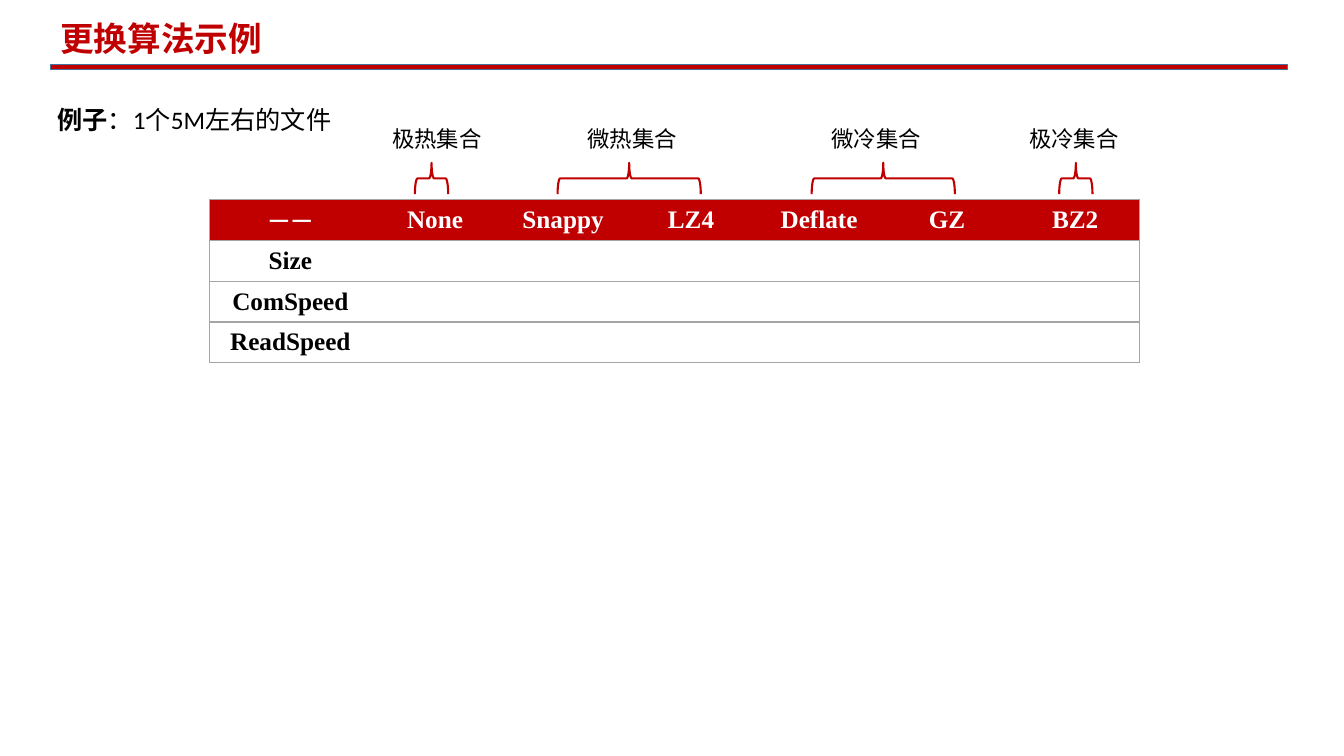
from lxml import etree
from pptx import Presentation, util as u
from pptx.dml.color import RGBColor
from pptx.enum import shapes, text
from pptx.oxml.ns import qn

RED, GREY, BLACK, WHITE = "C00000", "A5A5A5", "000000", "FFFFFF"
HAN = "Noto Sans CJK SC"


def paint(part, color):
    if hasattr(part, "solid"):
        part.solid()
        part = part.fore_color
    elif hasattr(part, "color"):
        part = part.color
    part.rgb = RGBColor.from_string(color)


def write(frame, words, size=16, font=HAN, color=BLACK, bold=False, align=None):
    frame.word_wrap = True
    paragraph = frame.paragraphs[0]
    paragraph.alignment = align
    run = paragraph.add_run()
    run.text = words
    run.font.size = u.Pt(size)
    run.font.name = font
    run.font.bold = bold
    paint(run.font.color, color)
    etree.SubElement(run.font._element, qn("a:ea")).set("typeface", HAN)


deck = Presentation()
deck.slide_width, deck.slide_height = u.Inches(13.33), u.Inches(7.5)
slide = deck.slides.add_slide(deck.slide_layouts[6])

rule = slide.shapes.add_shape(
    shapes.MSO_SHAPE.RECTANGLE, u.Inches(0.5), u.Inches(0.64), u.Inches(12.27), u.Inches(0.05))
rule.shadow.inherit = False
paint(rule.fill, RED)
paint(rule.line, "43739E")
rule.line.width = u.Pt(1)

captions = [
    (0.5, 0.13, 5.69, 0.5, [("更换算法示例", dict(size=24, color=RED, bold=True))]),
    (0.47, 0.99, 3.02, 0.4, [("例子", dict(size=18, font="Calibri", bold=True)),
                             ("：1个5M左右的文件", dict(size=18, font="Calibri"))]),
]
sets = [
    ("极热集合", 3.79, 1.31, 4.28, 0.33),
    ("微热集合", 5.73, 1.41, 6.24, 1.42),
    ("微冷集合", 8.15, 1.33, 8.76, 1.42),
    ("极冷集合", 10.11, 1.27, 10.67, 0.33),
]
brace_depth, brace_middle = 0.31, 1.77
for label, left, width, middle, span in sets:
    captions.append((left, 1.19, width, 0.37, [(label, {})]))
    brace = slide.shapes.add_shape(
        shapes.MSO_SHAPE.LEFT_BRACE,
        u.Inches(middle - brace_depth / 2), u.Inches(brace_middle - span / 2),
        u.Inches(brace_depth), u.Inches(span))
    brace.rotation = 90
    brace.shadow.inherit = False
    brace.fill.background()
    paint(brace.line, RED)
    brace.line.width = u.Pt(1.5)

for left, top, width, height, runs in captions:
    caption = slide.shapes.add_textbox(*map(u.Inches, (left, top, width, height))).text_frame
    caption.auto_size = text.MSO_AUTO_SIZE.SHAPE_TO_FIT_TEXT
    for words, style in runs:
        write(caption, words, **style)

algorithms = ["——", "None", "Snappy", "LZ4", "Deflate", "GZ", "BZ2"]
measures = ["Size", "ComSpeed", "ReadSpeed"]
rows, columns = len(measures) + 1, len(algorithms)
comparison = slide.shapes.add_table(
    rows, columns, u.Inches(2.08), u.Inches(1.98), u.Inches(9.22), u.Inches(1.62)).table
comparison._tbl.tblPr.find(qn("a:tableStyleId")).text = "{2D5ABB26-0587-4C30-8999-92F81FD0307C}"
for c, column in enumerate(comparison.columns):
    column.width = u.Inches(1.27 if c else 1.6)

for r in range(rows):
    for c in range(columns):
        cell = comparison.cell(r, c)
        cell.vertical_anchor = text.MSO_ANCHOR.MIDDLE
        edges = ["lnL"] * (c == 0) + ["lnR"] * (c == columns - 1) + ["lnT", "lnB"]
        for edge in edges:
            border = etree.SubElement(cell._tc.get_or_add_tcPr(), qn("a:" + edge), w=str(u.Pt(1)))
            ink = etree.SubElement(border, qn("a:solidFill"))
            etree.SubElement(ink, qn("a:srgbClr"), val=GREY)
        paint(cell.fill, WHITE if r else RED)
        if r == 0 or c == 0:
            write(cell.text_frame, measures[r - 1] if r else algorithms[c], size=18,
                  font="Times New Roman" if r or c else "Calibri",
                  color=BLACK if r else WHITE, bold=True, align=text.PP_ALIGN.CENTER)

deck.save("out.pptx")
